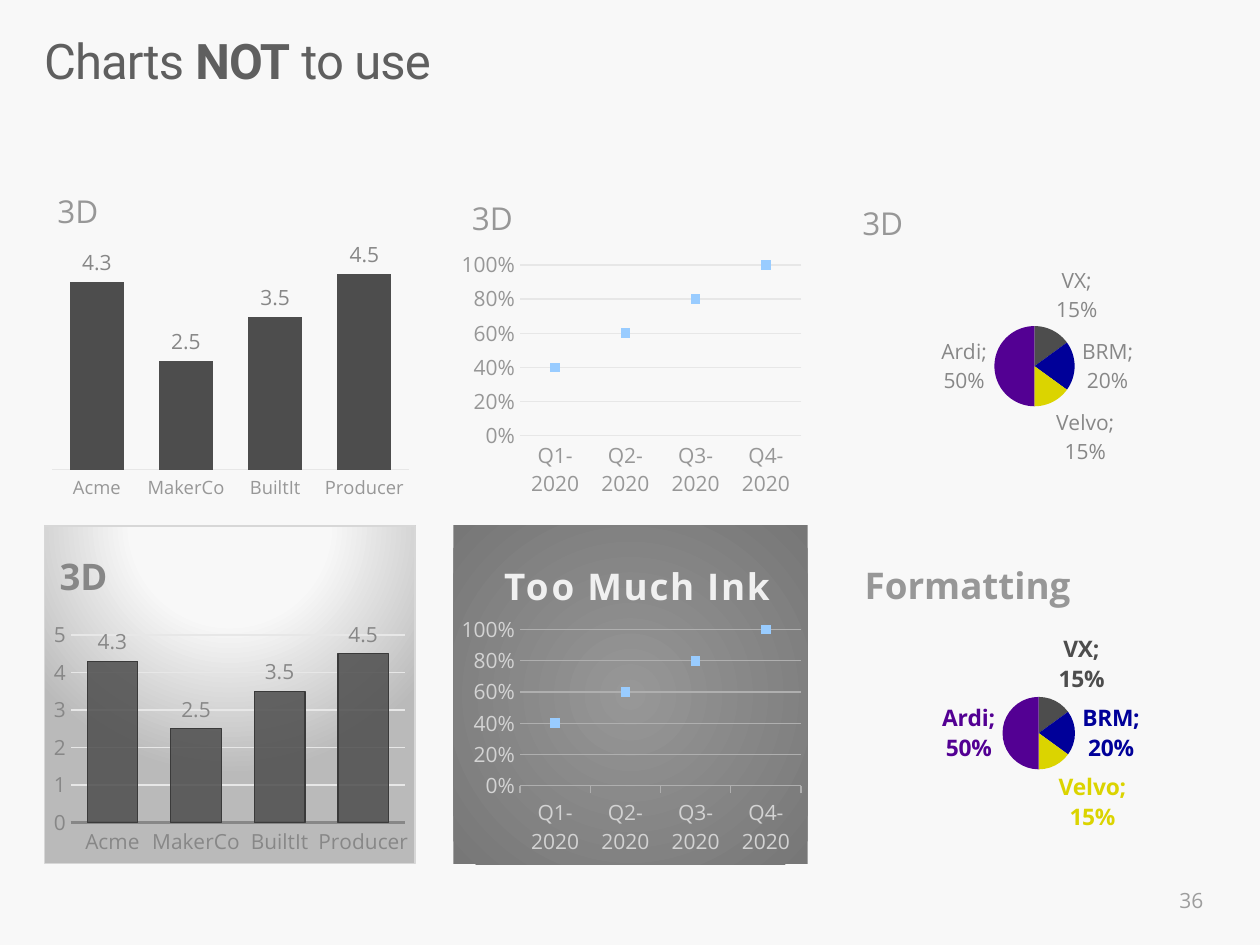
from pptx import Presentation
from pptx.chart.data import CategoryChartData as Data
from pptx.dml.color import RGBColor
from pptx.enum.chart import XL_CHART_TYPE as Kind, XL_LABEL_POSITION as Pos
from pptx.enum.chart import XL_MARKER_STYLE as Mark, XL_TICK_MARK as Tick
from pptx.enum.text import MSO_ANCHOR as Anchor, PP_ALIGN as Align
from pptx.oxml import parse_xml
from pptx.oxml.ns import nsdecls, qn
from pptx.util import Cm, Pt


def paint(part, color, size=None, face="Open Sans"):
    if size is None:
        part.solid()
        part.fore_color.rgb = RGBColor.from_string(color)
    else:
        part.name, part.size = face, Pt(size)
        part.color.rgb = RGBColor.from_string(color)


def place(node, index, box, inner=False):
    for old in node.findall(qn("c:layout")):
        node.remove(old)
    tags = '<c:layoutTarget val="inner"/>' if inner else ""
    tags += '<c:xMode val="edge"/><c:yMode val="edge"/>'
    for key, part in zip("xywh", box):
        tags += f'<c:{key} val="{part / 100:.3f}"/>'
    node.insert(index, parse_xml(
        f'<c:layout {nsdecls("c")}><c:manualLayout>{tags}</c:manualLayout></c:layout>'))


deck = Presentation()
deck.slide_width, deck.slide_height = Cm(25.4), Cm(19.05)
slide = deck.slides.add_slide(deck.slide_layouts[5])
paint(slide.background.fill, "F8F8F8")

head = slide.shapes.title
head.left, head.top, head.width, head.height = Cm(0.89), Cm(0.79), Cm(23.6), Cm(2.26)
frame = head.text_frame
frame.margin_left = frame.margin_top = frame.margin_right = frame.margin_bottom = 0
frame.vertical_anchor = Anchor.TOP
para = frame.paragraphs[0]
para.alignment, para.line_spacing = Align.LEFT, 0.86
paint(para.font, "5F5F5F", 28, "Roboto")
for text, bold in (("Charts ", False), ("NOT", True), (" to use", False)):
    run = para.add_run()
    run.text, run.font.bold = text, bold
    run._r.get_or_add_rPr().set("spc", "-50")

page = slide.shapes.add_textbox(Cm(18.8), Cm(17.63), Cm(5.71), Cm(1.02))
page.text_frame.word_wrap = True
page.text_frame.vertical_anchor = Anchor.MIDDLE
para = page.text_frame.paragraphs[0]
para.text, para.alignment = "36", Align.RIGHT
paint(para.font, "9D9D9D", 12)

bar, line, pie = Kind.COLUMN_CLUSTERED, Kind.LINE_MARKERS, Kind.PIE
sets = {
    bar: (["Acme", "MakerCo", "BuiltIt", "Producer"], [4.3, 2.5, 3.5, 4.5], "General"),
    line: ([f"Q{n}-2020" for n in range(1, 5)], [0.4, 0.6, 0.8, 1], "0%"),
    pie: (["VX", "BRM", "Velvo", "Ardi"], [0.15, 0.2, 0.15, 0.5], "0%"),
}
spots = {bar: (0.89, 7.49), line: (9.14, 7.14), pie: (17.04, 7.14)}
slices = ["4D4D4D", "000099", "DBD400", "530093"]

plans = [
    (line, False, 3.38, "3D", "979797", (3.6, 5.7), (18.8, 26.2, 79.4, 53)),
    (bar, False, 3.38, "3D", "979797", (2, 3.7), (2.2, 24.9, 96, 64.3)),
    (pie, False, 3.48, "3D", "979797", (3.2, 5.7), (42, 45.3, 22.9, 23.7)),
    (line, True, 10.59, "Too Much Ink", "F0F0F0", (12.5, 7.3), (18.8, 28.5, 79.4, 48.4)),
    (bar, True, 10.59, "3D", "878787", (2.2, 4.3), (7, 32.3, 90.3, 55.6)),
    (pie, True, 10.67, "Formatting", "979797", (3.6, 5.8), (44.2, 49.5, 20.9, 21.4)),
]
fills = {
    line: ([(0, "979797"), (100, "777777")], (50, 50, 50, 50), "<a:ln><a:noFill/></a:ln>"),
    bar: ([(0, "F8F8F8"), (39, "F8F8F8"), (100, "BABABA")], (50, -80, 50, 180),
          '<a:ln w="9525"><a:solidFill><a:srgbClr val="D7D7D7"/></a:solidFill></a:ln>'),
}
inks = {
    (line, False): (12, "979797", "E7E7E7", "E7E7E7", 0.75),
    (bar, False): (10.5, "979797", "E7E7E7", "E7E7E7", 0.75),
    (line, True): (12, "D3D3D3", "AFAFAF", "AFAFAF", 0.75),
    (bar, True): (12, "878787", "878787", "E7E7E7", 1.5),
}

for kind, heavy, top, name, tint, spot, plot in plans:
    cats, vals, form = sets[kind]
    data = Data(number_format=form)
    data.categories = cats
    data.add_series("Series 1", vals)
    left, width = spots[kind]
    chart = slide.shapes.add_chart(
        kind, Cm(left), Cm(top), Cm(width), Cm(6.83), data).chart
    root = chart.element
    chart.has_legend = False
    paint(chart.font, "5F5F5F", 10)

    para = chart.chart_title.text_frame.paragraphs[0]
    run = para.add_run()
    run.text = name
    paint(run.font, tint, 21 if heavy else 18)
    run.font.bold = heavy
    if kind == line and heavy:
        run._r.get_or_add_rPr().set("spc", "100")
    place(next(root.iter(qn("c:title"))), 1, spot)
    place(next(root.iter(qn("c:plotArea"))), 0, plot, True)

    group = chart.plots[0]
    group.vary_by_categories = kind == pie
    ser = group.series[0]

    if kind != pie:
        size, ink, rule, mesh, thick = inks[kind, heavy]
        base, side = chart.category_axis, chart.value_axis
        for axis in (base, side):
            axis.major_tick_mark = axis.minor_tick_mark = Tick.NONE
            paint(axis.tick_labels.font, ink, size)
        if kind == line and heavy:
            base.major_tick_mark = Tick.OUTSIDE
        paint(base.format.line.fill, rule)
        base.format.line.width = Pt(thick)
        side.format.line.fill.background()
        side.minimum_scale = 0
        side.maximum_scale = 1.05 if kind == line else 5
        side.major_unit = 0.2 if kind == line else 1
        side.has_major_gridlines = side.visible = kind == line or heavy
        if side.visible:
            grid = side.major_gridlines.format.line
            paint(grid.fill, mesh)
            grid.width = Pt(0.75)
            side.tick_labels.number_format = form
            side.tick_labels.number_format_is_linked = False

    if kind == line:
        ser.smooth = False
        ser.format.line.fill.background()
        ser.marker.style, ser.marker.size = Mark.SQUARE, 5
        paint(ser.marker.format.fill, "99CCFF")
        ser.marker.format.line.fill.background()
    else:
        tags = ser.data_labels
        tags.show_value, tags.position = True, Pos.OUTSIDE_END
        tags.show_category_name = kind == pie
        tags.number_format, tags.number_format_is_linked = form, False
        paint(tags.font, "878787", 12)

    if kind == bar:
        group.gap_width = 65 if heavy else 66
        paint(ser.format.fill, "4D4D4D")
        if heavy:
            shade = next(ser.format.fill._xPr.iter(qn("a:srgbClr")))
            shade.append(parse_xml(f'<a:alpha {nsdecls("a")} val="85000"/>'))
            paint(ser.format.line.fill, "3A3A3A")
            ser.format.line.width = Pt(0.75)

    if kind == pie:
        for n, color in enumerate(slices):
            point = ser.points[n]
            paint(point.format.fill, color)
            if heavy:
                paint(point.data_label.font, color, 13)
                point.data_label.font.bold = True
                point.data_label.position = Pos.OUTSIDE_END
        for label in root.iter(qn("c:dLbl")):
            label.find(qn("c:showCatName")).set("val", "1")
        for mark in list(root.iter(qn("c:showBubbleSize"))):
            mark.addnext(parse_xml(f'<c:separator {nsdecls("c")}>; </c:separator>'))

    if heavy and kind in fills:
        stops, sides, edge = fills[kind]
        steps = "".join(f'<a:gs pos="{at * 1000}"><a:srgbClr val="{color}"/></a:gs>'
                        for at, color in stops)
        rect = " ".join(f'{key}="{part * 1000}"' for key, part in zip("ltrb", sides))
        root.find(qn("c:chart")).addnext(parse_xml(
            f'<c:spPr {nsdecls("c", "a")}><a:gradFill><a:gsLst>{steps}</a:gsLst>'
            f'<a:path path="circle"><a:fillToRect {rect}/></a:path></a:gradFill>{edge}</c:spPr>'))

deck.save("out.pptx")
